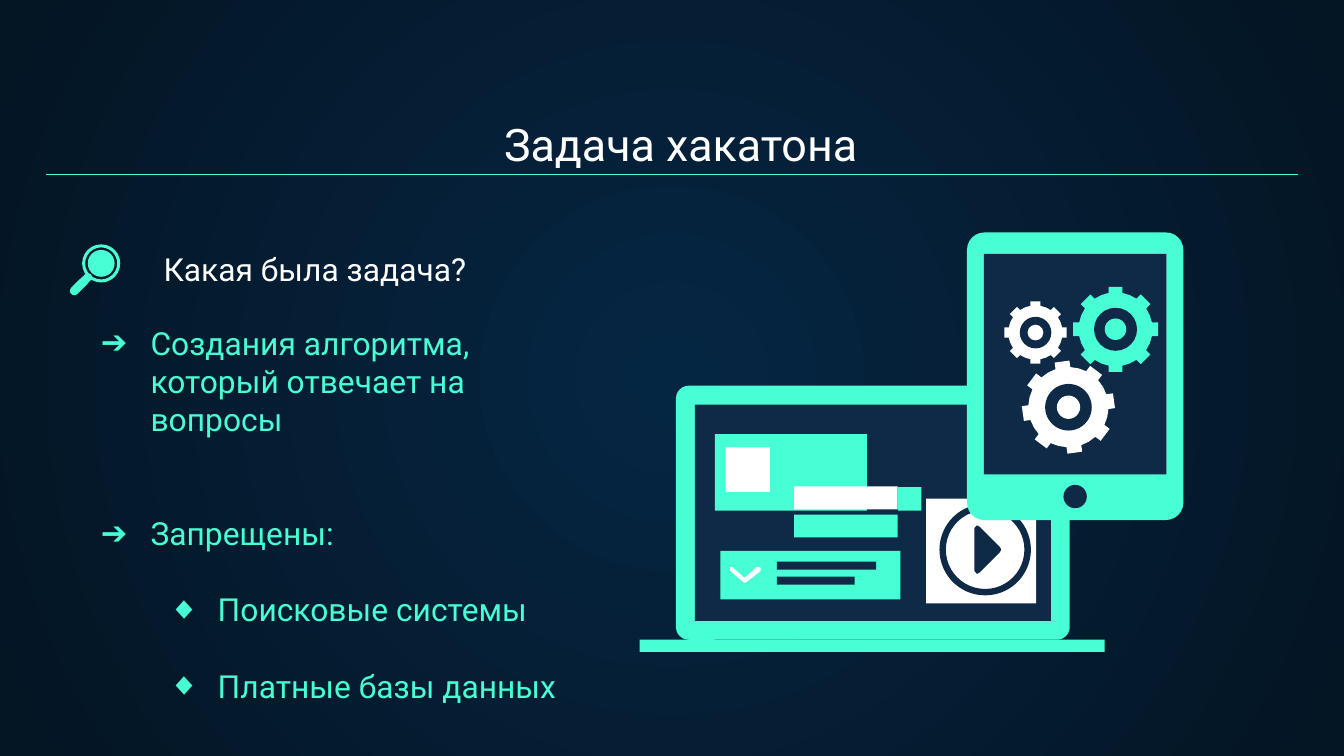
import math

from pptx import Presentation
from pptx import util as u
from pptx.dml.color import RGBColor
from pptx.enum import shapes, text
from pptx.oxml import parse_xml
from pptx.oxml.ns import nsdecls, qn

COLORS = {"mint": "48FFD5", "navy": "0E2A47", "white": "FFFFFF",
          "glow": "052643", "edge": "041523"}
FONT = "Roboto"
BODY_SIZE = 17
LINE_PITCH = 20.4
COLUMNS = 100
CELL = u.Inches(10) // COLUMNS
KIND = shapes.MSO_SHAPE

TASKS = [
    (0, "➔", 0, "Создания алгоритма, который отвечает на вопросы"),
    (0, "➔", 2, "Запрещены:"),
    (1, "◆", 1, "Поисковые системы"),
    (1, "◆", 1, "Платные базы данных"),
]
LAPTOP_PANELS = [
    ("navy", 51.7, 30.1, 26.5, 16.1),
    ("mint", 47.6, 47.6, 34.6, 0.9),
    ("mint", 53.2, 32.3, 11.3, 5.7),
    ("white", 54, 33.3, 3.3, 3.3),
    ("mint", 53.6, 41, 13.4, 3.6),
    ("navy", 57.8, 41.8, 7.4, 0.6),
    ("navy", 57.8, 42.9, 5.8, 0.6),
    ("mint", 59.1, 38.3, 7.7, 1.7),
    ("white", 59.1, 36.2, 7.7, 1.7),
    ("mint", 66.8, 36.25, 1.75, 1.75),
    ("white", 68.9, 37.1, 8.2, 7.8),
]
CHECK_MARK = [(56.5, 42.2), (56.3, 42.2), (55.4, 43), (54.5, 42.2),
              (54.35, 42.2), (54.3, 42.45), (55.35, 43.35), (55.5, 43.35),
              (56.6, 42.5), (56.6, 42.25)]
PLAY_MARK = [(72.5, 39.3), (72.7, 39.1), (72.9, 39.2), (74.4, 40.7),
             (74.5, 40.9), (74.4, 41.1), (72.9, 42.6), (72.7, 42.7),
             (72.5, 42.5)]
GEARS = [
    ("mint", 83, 24.5, 3.2, 0),
    ("white", 77.05, 24.75, 2.35, 0),
    ("white", 79.5, 30.3, 3.47, -8),
]


def rgb(name):
    return RGBColor.from_string(COLORS[name])


def grid(*cells):
    return [round(cell * CELL) for cell in cells]


def paint(shape, color):
    shape.shadow.inherit = False
    shape.fill.solid()
    shape.fill.fore_color.rgb = rgb(color)
    shape.line.fill.background()
    return shape


def add_block(page, kind, color, left, top, width, height, adjust=None):
    block = page.shapes.add_shape(kind, *grid(left, top, width, height))
    if adjust is not None:
        block.adjustments[0] = adjust
    return paint(block, color)


def add_disc(page, color, x, y, radius, kind=KIND.OVAL, adjust=None):
    return add_block(page, kind, color, x - radius, y - radius,
                     2 * radius, 2 * radius, adjust)


def add_outline(page, color, points):
    corners = [grid(*point) for point in points]
    builder = page.shapes.build_freeform(*corners[0])
    builder.add_line_segments(corners[1:], close=True)
    return paint(builder.convert_to_shape(), color)


def add_gear(page, color, x, y, radius, turn, teeth=8):
    step = 2 * math.pi / teeth
    rim = 0.86
    tip_angle, root_angle = math.asin(0.16), math.asin(0.16 / rim)
    profile = [(-root_angle, rim), (-tip_angle, 1), (tip_angle, 1),
               (root_angle, rim), (step / 2, rim)]
    points = []
    for tooth in range(teeth):
        for offset, share in profile:
            angle = math.radians(turn) + tooth * step + offset
            points.append((x + radius * share * math.cos(angle),
                           y + radius * share * math.sin(angle)))
    add_outline(page, color, points)
    add_disc(page, "navy", x, y, radius * 0.5)
    add_disc(page, color, x, y, radius * 0.25)


def place_text(box, left, top, width, height, anchor):
    box.left, box.top, box.width, box.height = grid(left, top, width, height)
    frame = box.text_frame
    frame.word_wrap = True
    frame.auto_size = text.MSO_AUTO_SIZE.NONE
    frame.vertical_anchor = anchor
    for side in ("left", "top", "right", "bottom"):
        setattr(frame, f"margin_{side}", CELL)
    return frame


def style_para(para, size, color, align):
    para.alignment = align
    for span in para.runs:
        span.font.name = FONT
        span.font.size = u.Pt(size)
        span.font.color.rgb = rgb(color)


def fill_heading(box, words, area, size, align):
    frame = place_text(box, *area, text.MSO_ANCHOR.BOTTOM)
    frame.text = words
    style_para(frame.paragraphs[0], size, "white", align)


def fill_tasks(box):
    frame = place_text(box, 5.2, 23.1, 38.3, 30.1, text.MSO_ANCHOR.TOP)
    frame.text = "\n".join(task[-1] for task in TASKS)
    for para, (level, mark, gap, _) in zip(frame.paragraphs, TASKS):
        para.level = level
        para.line_spacing = u.Pt(LINE_PITCH)
        para.space_before = u.Pt(gap * LINE_PITCH)
        para.space_after = u.Pt(0)
        style_para(para, BODY_SIZE, "mint", text.PP_ALIGN.LEFT)
        layout = para._p.get_or_add_pPr()
        layout.set("marL", str(u.Inches(0.5 * (level + 1))))
        layout.set("indent", str(u.Inches(-0.37)))
        layout.append(parse_xml(
            f'<a:buClr {nsdecls("a")}><a:srgbClr val="{COLORS["mint"]}"/></a:buClr>'))
        layout.append(parse_xml(f'<a:buChar {nsdecls("a")} char="{mark}"/>'))


def set_background(page):
    fill = page.background.fill
    fill.gradient()
    for stop, color in zip(fill.gradient_stops, ("glow", "edge")):
        stop.color.rgb = rgb(color)
    gradient = page._element.find(".//" + qn("a:gradFill"))
    gradient.replace(gradient.find(qn("a:lin")), parse_xml(
        f'<a:path {nsdecls("a")} path="circle">'
        '<a:fillToRect l="50000" t="50000" r="50000" b="50000"/></a:path>'))


def add_rule(page):
    rule = page.shapes.add_connector(shapes.MSO_CONNECTOR.STRAIGHT,
                                     *grid(3.4, 13, 96.6, 13))
    rule.line.color.rgb = rgb("mint")
    rule.line.width = u.Pt(0.75)
    rule._element.spPr.append(parse_xml(f'<a:effectLst {nsdecls("a")}/>'))


def add_magnifier(page):
    add_disc(page, "mint", 7.53, 19.6, 1.42, KIND.DONUT, 0.08)
    add_disc(page, "mint", 7.53, 19.6, 1)
    for left, top, width, height in ((5.05, 20.95, 1.7, 0.65),
                                     (5.95, 20.45, 0.95, 0.6)):
        handle = add_block(page, KIND.ROUNDED_RECTANGLE, "mint",
                           left, top, width, height, 0.5)
        handle.rotation = -45


def add_laptop(page):
    add_block(page, KIND.ROUNDED_RECTANGLE, "mint", 50.3, 28.7, 29.3, 18.9, 0.05)
    for color, *area in LAPTOP_PANELS:
        add_block(page, KIND.RECTANGLE, color, *area)
    add_outline(page, "white", CHECK_MARK)
    add_disc(page, "navy", 73.3, 40.9, 3.4, KIND.DONUT, 0.07)
    add_outline(page, "navy", PLAY_MARK)


def add_tablet(page):
    add_block(page, KIND.ROUNDED_RECTANGLE, "mint", 71.95, 17.3, 16.1, 21.4, 0.08)
    add_block(page, KIND.RECTANGLE, "navy", 73.2, 18.9, 13.6, 16.4)
    add_disc(page, "navy", 80, 36.95, 0.87)
    for gear in GEARS:
        add_gear(page, *gear)


def main():
    deck = Presentation()
    deck.slide_width, deck.slide_height = grid(COLUMNS, 56.25)
    page = deck.slides.add_slide(deck.slide_layouts[0])
    set_background(page)
    fill_heading(page.shapes.title, "Задача хакатона",
                 (2.8, 7.1, 95.7, 6.6), 24, text.PP_ALIGN.CENTER)
    fill_tasks(page.placeholders[1])
    question = page.shapes.add_textbox(0, 0, CELL, CELL)
    fill_heading(question, "Какая была задача?",
                 (9.7, 17.7, 26, 4.7), BODY_SIZE, text.PP_ALIGN.RIGHT)
    add_rule(page)
    add_magnifier(page)
    add_laptop(page)
    add_tablet(page)
    deck.save("out.pptx")


if __name__ == "__main__":
    main()
